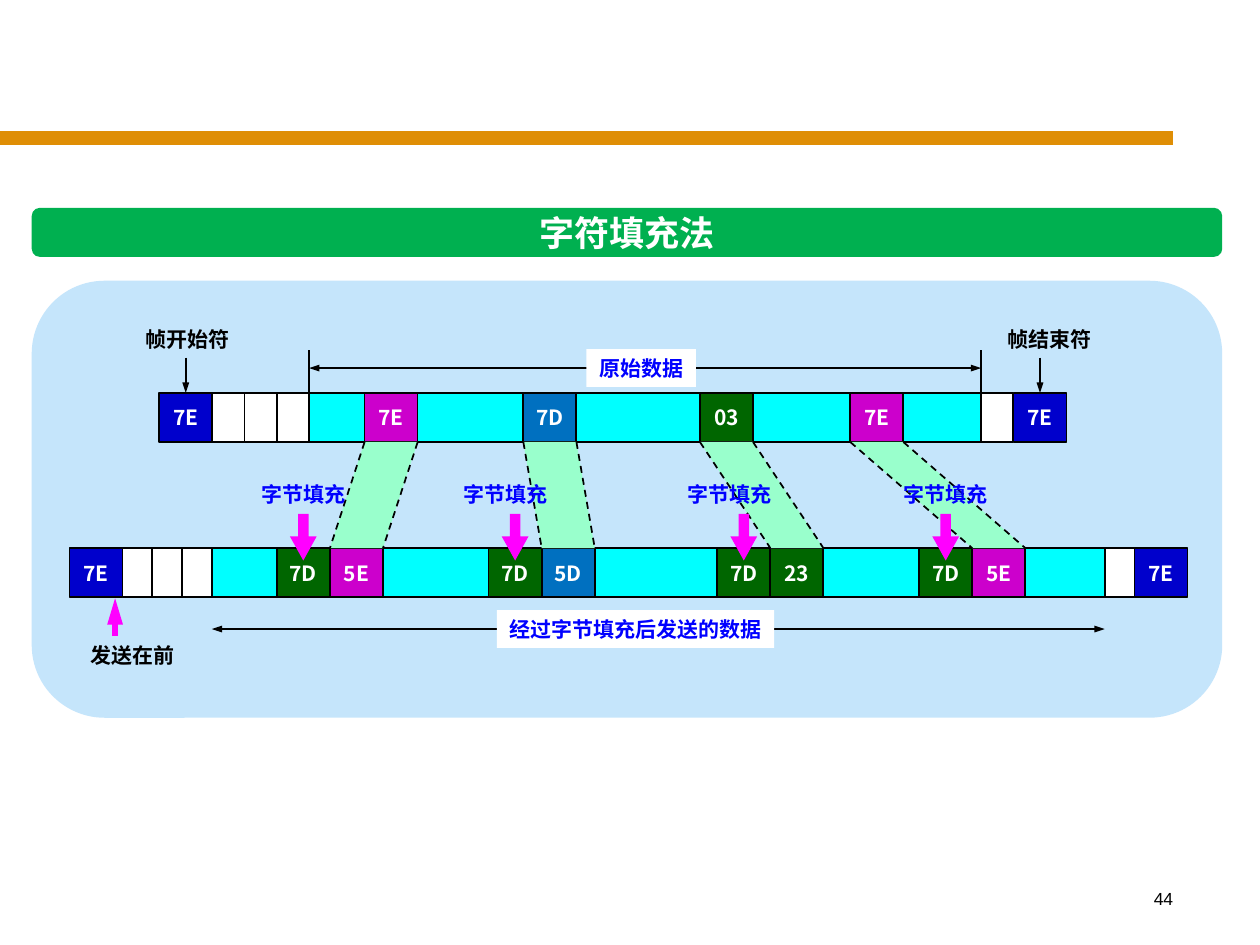
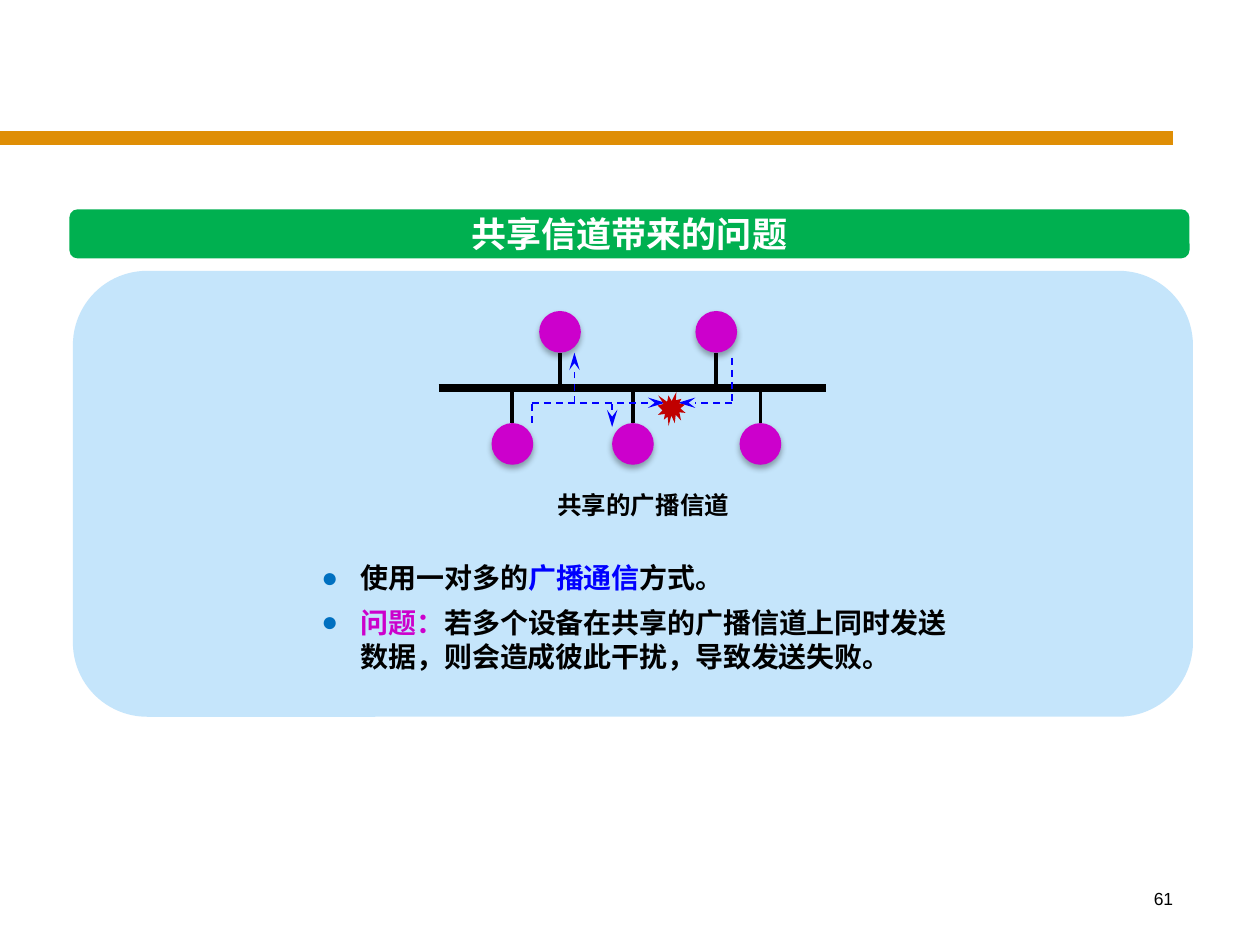
from dataclasses import dataclass

from lxml import etree
from pptx import Presentation
from pptx.dml.color import RGBColor
from pptx.enum.dml import MSO_LINE_DASH_STYLE as Dash
from pptx.enum.shapes import MSO_CONNECTOR_TYPE as Connector, MSO_SHAPE as Shape
from pptx.enum.text import MSO_ANCHOR as Anchor, PP_ALIGN as Align
from pptx.oxml.ns import qn
from pptx.util import Cm, Pt

BLACK = RGBColor(0x00, 0x00, 0x00)
WHITE = RGBColor(0xFF, 0xFF, 0xFF)
ORANGE = RGBColor(0xDF, 0x8E, 0x05)
GREEN = RGBColor(0x00, 0xB0, 0x50)
PALE_BLUE = RGBColor(0xC5, 0xE5, 0xFB)
NAVY = RGBColor(0x00, 0x00, 0xCC)
BLUE = RGBColor(0x00, 0x00, 0xFF)
STEEL = RGBColor(0x00, 0x70, 0xC0)
CYAN = RGBColor(0x00, 0xFF, 0xFF)
PURPLE = RGBColor(0xCC, 0x00, 0xCC)
DARK_GREEN = RGBColor(0x00, 0x66, 0x00)
MINT = RGBColor(0x99, 0xFF, 0xCC)
MAGENTA = RGBColor(0xFF, 0x00, 0xFF)
RED = RGBColor(0xC0, 0x00, 0x00)

CJK_FONT = "Noto Sans CJK SC"
BYTE_WIDTH = 1.07
ROW_HEIGHT = 0.99
LABEL_HEIGHT = 0.76
SHORT_LABEL = 2.21


@dataclass
class Box:
    """A region in centimetres."""
    left: float
    top: float
    width: float
    height: float

    @property
    def right(self):
        """Give the right edge."""
        return self.left + self.width

    @property
    def bottom(self):
        """Give the bottom edge."""
        return self.top + self.height

    @property
    def center(self):
        """Give the horizontal middle."""
        return self.left + self.width / 2

    def lengths(self):
        """Give the four lengths for python-pptx."""
        return [Cm(value) for value in (self.left, self.top, self.width, self.height)]


def add_element(parent, tag, **attributes):
    """Append a drawing element with its attributes."""
    return etree.SubElement(parent, qn(tag), attributes)


def write_text(shape, text, *, size=12, color=WHITE, bold=True, font=CJK_FONT,
               align=Align.CENTER, anchor=Anchor.MIDDLE, bullet=None, line_spacing=None, space_before=0):
    """Write paragraphs, each a string or a list of (text, colour) runs."""
    frame = shape.text_frame
    frame.word_wrap = True
    frame.vertical_anchor = anchor
    frame.margin_left = frame.margin_right = frame.margin_top = frame.margin_bottom = 0
    for index, content in enumerate([text] if isinstance(text, str) else text):
        paragraph = frame.add_paragraph() if index else frame.paragraphs[0]
        paragraph.alignment = align
        paragraph.line_spacing = line_spacing
        if index:
            paragraph.space_before = Pt(space_before)
        if bullet:
            properties = paragraph._p.get_or_add_pPr()
            properties.set("marL", str(Cm(0.79)))
            properties.set("indent", str(-Cm(0.79)))
            add_element(add_element(properties, "a:buClr"), "a:srgbClr", val=str(bullet))
            add_element(properties, "a:buFont", typeface="Arial")
            add_element(properties, "a:buChar", char="●")
        for words, run_color in [(content, color)] if isinstance(content, str) else content:
            run = paragraph.add_run()
            run.text = words
            run.font.size, run.font.bold = Pt(size), bold
            run.font.color.rgb = run_color
            run.font.name = font
            add_element(run._r.get_or_add_rPr(), "a:ea", typeface=font)


def add_shape(slide, kind, box, fill, outline=None):
    """Add a filled preset shape."""
    shape = slide.shapes.add_shape(kind, *box.lengths())
    paint(shape, fill, outline)
    return shape


def paint(shape, fill, outline=None):
    """Set the fill and outline and drop the shadow."""
    shape.shadow.inherit = False
    shape.fill.solid()
    shape.fill.fore_color.rgb = fill
    if outline is None:
        shape.line.fill.background()
    else:
        shape.line.color.rgb = outline
        shape.line.width = Pt(1)


def add_label(slide, text, box, fill=None, **text_format):
    """Add a text box, with a fill if one is given."""
    label = slide.shapes.add_textbox(*box.lengths())
    if fill is not None:
        label.fill.solid()
        label.fill.fore_color.rgb = fill
    write_text(label, text, **text_format)


def add_line(slide, start, end, color=BLACK, width=1, dashed=False, head=None, tail=None,
             tip=("sm", "med")):
    """Add a straight connector with optional arrowheads."""
    line = slide.shapes.add_connector(Connector.STRAIGHT, *map(Cm, (*start, *end)))
    line.line.color.rgb = color
    line.line.width = Pt(width)
    if dashed:
        line.line.dash_style = Dash.DASH
    stroke = line.line._get_or_add_ln()
    for tag, kind in (("a:headEnd", head), ("a:tailEnd", tail)):
        if kind:
            add_element(stroke, tag, type=kind, w=tip[0], len=tip[1])
    add_element(line._element.spPr, "a:effectLst")
    return line


def add_frame(presentation, title, number, banner, panel):
    """Add a slide with the rule, page number, title banner and panel."""
    slide = presentation.slides.add_slide(presentation.slide_layouts[6])
    add_line(slide, (0, 2.79), (23.65, 2.79), ORANGE, 8)
    add_label(slide, number, Box(18.62, 17.91, 5.03, 1), size=10, color=BLACK, bold=False,
              font="Arial", align=Align.RIGHT, anchor=Anchor.TOP)
    write_text(add_shape(slide, Shape.ROUNDED_RECTANGLE, banner, GREEN), title, size=20)
    add_shape(slide, Shape.ROUNDED_RECTANGLE, panel, PALE_BLUE)
    return slide


def draw_byte_row(slide, box, blank_width, data):
    """Draw a frame of bytes; numbers in the data are stretches of plain bytes."""
    widths = [item if isinstance(item, float) else BYTE_WIDTH for item in data]
    data_box = Box(box.left + BYTE_WIDTH + 3 * blank_width, box.top, sum(widths), box.height)
    add_shape(slide, Shape.RECTANGLE, data_box, CYAN, BLACK)
    flag, blank = ("7E", NAVY), ("", WHITE)
    items = [flag, blank, blank, blank, *data, blank, flag]
    widths = [BYTE_WIDTH] + [blank_width] * 3 + widths + [blank_width, BYTE_WIDTH]
    left, cells = box.left, []
    for item, width in zip(items, widths):
        if not isinstance(item, float):
            text, color = item
            cell_box = Box(left, box.top, width, box.height)
            cell = add_shape(slide, Shape.RECTANGLE, cell_box, color, BLACK)
            if text:
                write_text(cell, text)
                cells.append((cell, cell_box))
        left += width
    return data_box, cells


def draw_ribbon(slide, source, target):
    """Link a byte to its stuffed form with a band and two dashed edges."""
    corners = [(source.left, source.bottom), (source.right, source.bottom),
               (target.right, target.top), (target.left, target.top)]
    points = [(Cm(x), Cm(y)) for x, y in corners]
    builder = slide.shapes.build_freeform(*points[0])
    builder.add_line_segments(points[1:], close=True)
    paint(builder.convert_to_shape(), MINT)
    add_line(slide, corners[0], corners[3], dashed=True)
    add_line(slide, corners[1], corners[2], dashed=True)


def draw_span(slide, data_box, y, text, label_width, shift):
    """Draw a double arrow over the data with a white label on it."""
    add_line(slide, (data_box.left, y), (data_box.right, y), head="triangle", tail="triangle")
    box = Box(data_box.center + shift - label_width / 2, y - LABEL_HEIGHT / 2,
              label_width, LABEL_HEIGHT)
    add_label(slide, text, box, fill=WHITE, color=BLUE)


def draw_byte_stuffing(slide, panel):
    """Draw the raw frame, the stuffed frame and the links between them."""
    raw_row = Box(panel.left + 2.57, panel.top + 2.26, 18.29, ROW_HEIGHT)
    sent_row = Box(panel.left + 0.76, panel.top + 5.39, 22.5, ROW_HEIGHT)
    escape = ("7D", DARK_GREEN)
    raw_data, raw_cells = draw_byte_row(slide, raw_row, 0.65, [
        1.12, ("7E", PURPLE), 2.13, ("7D", STEEL), 2.49, ("03", DARK_GREEN),
        1.96, ("7E", PURPLE), 1.57])
    sent_data, sent_cells = draw_byte_row(slide, sent_row, 0.6, [
        1.31, escape, ("5E", PURPLE), 2.13, escape, ("5D", STEEL), 2.47,
        escape, ("23", DARK_GREEN), 1.93, escape, ("5E", PURPLE), 1.6])

    for (_, source), (_, target) in zip(raw_cells[1:-1], sent_cells[2:-1:2]):
        draw_ribbon(slide, source, target)
    for (_, stuffed), shift in zip(sent_cells[1:-1:2], (0, -0.19, -0.29, 0)):
        label_box = Box(stuffed.center + shift - SHORT_LABEL / 2, stuffed.top - 1.47,
                        SHORT_LABEL, LABEL_HEIGHT)
        add_label(slide, "字节填充", label_box, color=BLUE)
        arrow_box = Box(stuffed.center - 0.27, stuffed.top - 0.69, 0.54, 0.94)
        arrow = add_shape(slide, Shape.DOWN_ARROW, arrow_box, MAGENTA)
        arrow.adjustments[0], arrow.adjustments[1] = 0.39, 0.9

    draw_span(slide, raw_data, raw_row.top - 0.5, "原始数据", SHORT_LABEL, -0.08)
    draw_span(slide, sent_data, sent_row.bottom + 0.64, "经过字节填充后发送的数据", 5.59, -0.46)
    for x in (raw_data.left, raw_data.right):
        add_line(slide, (x, raw_row.top - 0.86), (x, raw_row.top))
    for text, (cell, box), shift in (("帧开始符", raw_cells[0], 0.03),
                                     ("帧结束符", raw_cells[-1], 0.2)):
        label_box = Box(box.center + shift - SHORT_LABEL / 2, box.top - 1.47,
                        SHORT_LABEL, LABEL_HEIGHT)
        add_label(slide, text, label_box, color=BLACK)
        pointer = add_line(slide, (box.center, box.top - 0.71), (box.center, box.top),
                           tail="triangle")
        pointer.end_connect(cell, 0)
    first_x = sent_row.left + 0.92
    add_line(slide, (first_x, sent_row.bottom + 0.78), (first_x, sent_row.bottom + 0.02),
             MAGENTA, 3, tail="triangle", tip=("med", "lg"))
    add_label(slide, "发送在前", Box(first_x - 0.75, sent_row.bottom + 0.78, SHORT_LABEL,
                                 LABEL_HEIGHT), color=BLACK)


def draw_shared_bus(slide, box):
    """Draw stations on a bus and two signals that collide."""
    bus_y, node = box.top + box.height / 2, 0.84
    add_line(slide, (box.left, bus_y), (box.right, bus_y), width=4.5)
    stations = [(x, box.top, box.top + node) for x in (2.45, 5.6)]
    stations += [(x, box.bottom - node, box.bottom - node) for x in (1.49, 3.92, 6.49)]
    for x, top, edge in stations:
        center = box.left + x
        add_line(slide, (center, bus_y), (center, edge), width=2.25)
        station = add_shape(slide, Shape.OVAL, Box(center - node / 2, top, node, node), PURPLE)
        add_soft_shadow(station)
    signals = [((5.92, 1.85), (4.83, 1.85), True), ((5.92, 0.94), (5.92, 1.85), False),
               ((1.88, 1.85), (4.57, 1.85), True), ((2.74, 1.85), (2.74, 0.84), True),
               ((3.5, 1.88), (3.5, 2.34), True), ((1.88, 1.88), (1.88, 2.34), False)]
    for start, end, arrow in signals:
        (x1, y1), (x2, y2) = start, end
        add_line(slide, (box.left + x1, box.top + y1), (box.left + x2, box.top + y2), BLUE,
                 dashed=True, tail="stealth" if arrow else None, tip=("med", "lg"))
    add_shape(slide, Shape.EXPLOSION1, Box(box.left + 4.42, box.top + 1.63, 0.56, 0.69), RED)


def add_soft_shadow(shape):
    """Give a shape a blurred shadow below it."""
    effects = shape._element.spPr.find(qn("a:effectLst"))
    shadow = add_element(effects, "a:outerShdw", blurRad=str(Pt(3.5)), dist=str(Pt(2.2)),
                         dir="5400000", rotWithShape="0")
    add_element(add_element(shadow, "a:srgbClr", val=str(BLACK)), "a:alpha", val="32000")


def write_bus_notes(slide, box):
    """Write the caption of the bus and the points below it."""
    add_label(slide, "共享的广播信道", Box(box.left, box.top, box.width, 0.86), size=14, color=BLACK)
    points = [[("使用一对多的", BLACK), ("广播通信", BLUE), ("方式。", BLACK)],
              [("问题：", PURPLE),
               ("若多个设备在共享的广播信道上同时发送数据，则会造成彼此干扰，导致发送失败。", BLACK)]]
    add_label(slide, points, Box(box.left, box.top + 1.55, box.width, 2.4), size=16,
              align=Align.LEFT, anchor=Anchor.TOP, bullet=STEEL, line_spacing=Pt(19.4),
              space_before=6)


def main():
    """Build both slides and save them."""
    presentation = Presentation()
    presentation.slide_width, presentation.slide_height = Cm(25.4), Cm(19.05)

    panel = Box(0.64, 5.66, 24, 8.81)
    slide = add_frame(presentation, "字符填充法", "44", Box(0.64, 4.19, 24, 0.99), panel)
    draw_byte_stuffing(slide, panel)

    panel = Box(1.47, 5.46, 22.58, 8.99)
    slide = add_frame(presentation, "共享信道带来的问题", "61", Box(1.4, 4.22, 22.58, 0.99), panel)
    draw_shared_bus(slide, Box(panel.left + 7.37, panel.top + 0.81, 7.82, 3.1))
    write_bus_notes(slide, Box(panel.left + 5.01, panel.top + 4.29, 12.98, 3.95))

    presentation.save("out.pptx")


if __name__ == "__main__":
    main()
